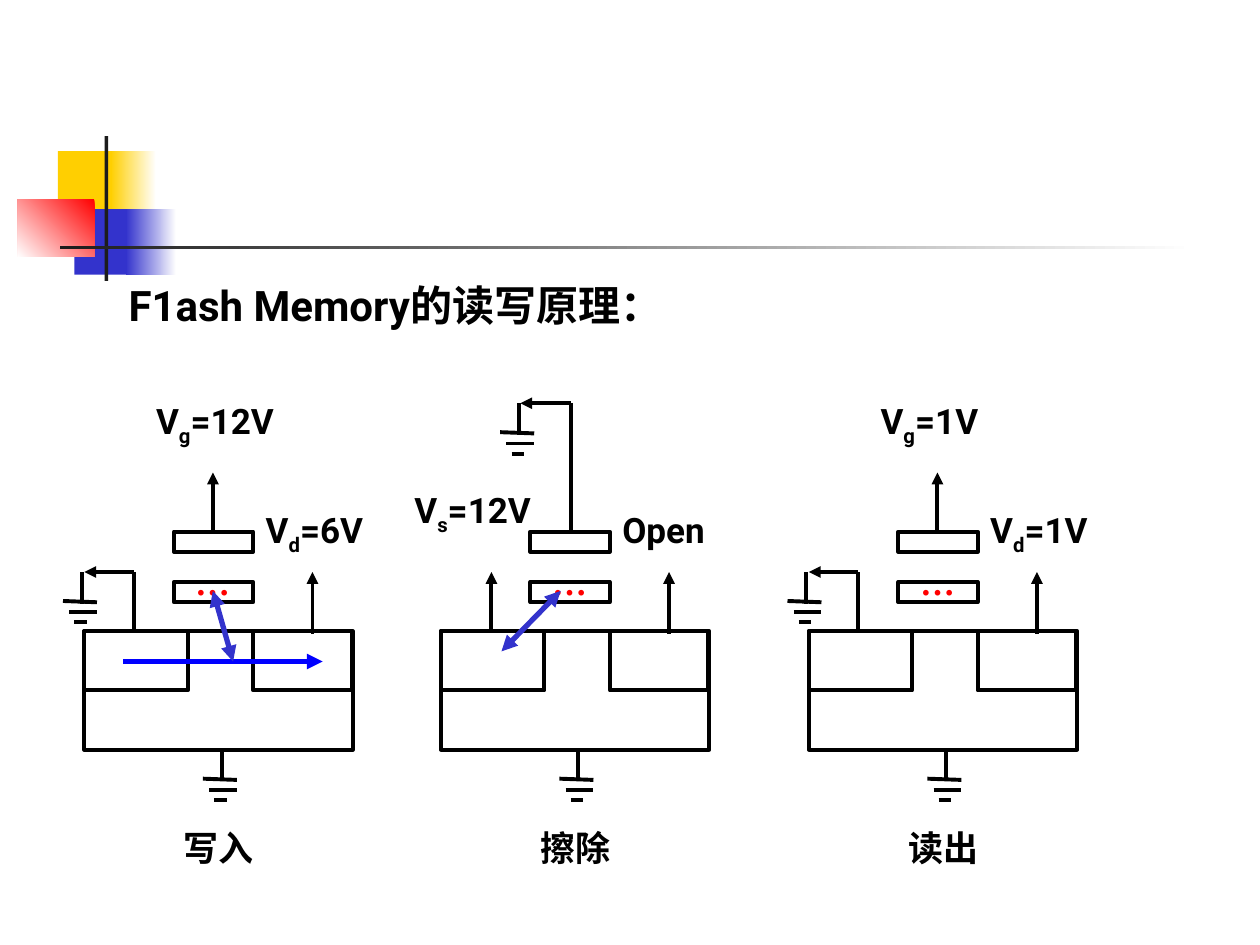
from lxml import etree
from pptx import Presentation
from pptx.dml.color import RGBColor
from pptx.enum.shapes import MSO_CONNECTOR, MSO_SHAPE
from pptx.enum.text import MSO_ANCHOR, PP_ALIGN
from pptx.oxml.ns import qn
from pptx.util import Inches, Pt

RECTANGLE = MSO_SHAPE.RECTANGLE
STRAIGHT = MSO_CONNECTOR.STRAIGHT
MIDDLE = MSO_ANCHOR.MIDDLE
CENTER, JUSTIFY = PP_ALIGN.CENTER, PP_ALIGN.JUSTIFY

LATIN, CJK = "Roboto", "Noto Sans CJK SC"
BLACK, WHITE, RED, BLUE, INDIGO = "000000", "FFFFFF", "FF0000", "0000FF", "3333CC"
YELLOW, CHARCOAL = "FFCF01", "1C1C1C"

HEADING = "F1ash Memory的读写原理："
DECORATIONS = [
    ((0.46, 1.2, 0.48, 0.52), [YELLOW], 0),
    ((0.88, 1.2, 0.36, 0.52), [WHITE, YELLOW], 180),
    ((0.59, 1.66, 0.46, 0.52), [INDIGO], 0),
    ((1, 1.66, 0.4, 0.52), [WHITE, INDIGO], 180),
    ((0.14, 1.58, 0.61, 0.46), [RED, WHITE], 225),
    ((0.83, 1.08, 0.03, 1.15), [CHARCOAL], 0),
    ((0.48, 1.95, 9, 0.03), [WHITE, CHARCOAL], 180),
]

# name, left edge, grounded terminal, labels (offset, top, width, parts), charge arrows
DEVICES = [
    {"name": "写入", "left": 0.67, "grounded": "source",
     "labels": [(0.47, 3.12, 1.42, ("V", "g", "=12V")), (1.34, 3.99, 1.18, ("V", "d", "=6V"))],
     "flows": [((0.31, 5.25), (1.89, 5.25), BLUE, "tail"),
               ((1.18, 5.25), (1.02, 4.69), INDIGO, "both")]},
    {"name": "擦除", "left": 3.5, "grounded": "gate",
     "labels": [(-0.31, 3.83, 1.42, ("V", "s", "=12V")), (1.34, 3.99, 1.18, ("Open",))],
     "flows": [((0.95, 4.69), (0.48, 5.17), INDIGO, "both")]},
    {"name": "读出", "left": 6.42, "grounded": "source",
     "labels": [(0.47, 3.12, 1.42, ("V", "g", "=1V")), (1.34, 3.99, 1.18, ("V", "d", "=1V"))],
     "flows": []},
]
OUTLINES = [(0.71, 4.22, 0.63, 0.16), (0, 5.01, 2.13, 0.94),
            (0, 5.01, 0.82, 0.47), (1.34, 5.01, 0.78, 0.47)]
FLOATING_GATE = (0.71, 4.62, 0.63, 0.16)
GROUND = [((0, 0), (0, 0.25)), ((-0.15, 0.23), (0.12, 0.24)),
          ((-0.1, 0.32), (0.12, 0.32)), ((-0.06, 0.4), (0.04, 0.4))]
ARROW_TAGS = {"": (), "head": ("headEnd",), "tail": ("tailEnd",), "both": ("headEnd", "tailEnd")}


def color(value):
    return RGBColor.from_string(value)


def set_font(paragraph, size, name=LATIN, value=BLACK):
    font = paragraph.font
    font.size, font.name, font.bold = Pt(size), name, True
    font.color.rgb = color(value)


def add_rectangle(shapes, box):
    shape = shapes.add_shape(RECTANGLE, *map(Inches, box))
    shape.shadow.inherit = False
    return shape


def add_decoration(shapes, box, colors, angle):
    shape = add_rectangle(shapes, box)
    shape.line.fill.background()
    if len(colors) == 1:
        shape.fill.solid()
        shape.fill.fore_color.rgb = color(colors[0])
        return
    shape.fill.gradient()
    shape.fill.gradient_angle = angle
    for position, (stop, value) in enumerate(zip(shape.fill.gradient_stops, colors)):
        stop.position = position
        stop.color.rgb = color(value)


def add_outline(shapes, left, box):
    shape = add_rectangle(shapes, (left + box[0], *box[1:]))
    shape.fill.background()
    shape.line.color.rgb = color(BLACK)
    shape.line.width = Pt(2.25)
    return shape


def add_line(shapes, left, start, end, value=BLACK, arrows="", width=2.25):
    points = (left + start[0], start[1], left + end[0], end[1])
    connector = shapes.add_connector(STRAIGHT, *map(Inches, points))
    connector.line.color.rgb = color(value)
    connector.line.width = Pt(width)
    for tag in ARROW_TAGS[arrows]:
        etree.SubElement(connector.line._get_or_add_ln(), qn(f"a:{tag}"), type="triangle")
    etree.SubElement(connector._element.spPr, qn("a:effectLst"))


def add_ground(shapes, left, top):
    group = shapes.add_group_shape()
    for (x1, y1), (x2, y2) in GROUND:
        add_line(group.shapes, left, (x1, top + y1), (x2, top + y2))


def add_label(shapes, left, top, width, parts):
    box = shapes.add_textbox(*map(Inches, (left, top, width, 0.48)))
    box.text_frame.word_wrap = True
    paragraph = box.text_frame.paragraphs[0]
    set_font(paragraph, 20)
    for index, part in enumerate(parts):
        run = paragraph.add_run()
        run.text = part
        if index == 1:
            run._r.get_or_add_rPr().set("baseline", "-25000")


def add_heading(slide):
    slide.shapes.title._element.getparent().remove(slide.shapes.title._element)
    body = slide.placeholders[1]
    body.left, body.top, body.width, body.height = map(Inches, (0.75, 2.17, 8.5, 0.6))
    paragraph = body.text_frame.paragraphs[0]
    paragraph.text = HEADING
    paragraph.alignment = JUSTIFY
    paragraph.space_before = Pt(0)
    properties = paragraph._p.get_or_add_pPr()
    properties.set("marL", str(Inches(0.17)))
    properties.set("indent", "0")
    etree.SubElement(properties, qn("a:buNone"))
    set_font(paragraph, 24)


def add_device(shapes, device):
    left = device["left"]
    for box in OUTLINES:
        add_outline(shapes, left, box)
    frame = add_outline(shapes, left, FLOATING_GATE).text_frame
    frame.word_wrap = False
    frame.vertical_anchor = MIDDLE
    paragraph = frame.paragraphs[0]
    paragraph.text = "…"
    paragraph.alignment = CENTER
    set_font(paragraph, 20, CJK, RED)

    add_line(shapes, left, (1.81, 4.54), (1.81, 5.03), arrows="head")
    add_ground(shapes, left + 1.09, 5.95)
    if device["grounded"] == "source":
        add_line(shapes, left, (1.02, 4.22), (1.02, 3.75), arrows="tail")
        add_line(shapes, left, (0.39, 4.54), (0.39, 5.01))
        add_line(shapes, left, (0, 4.54), (0.39, 4.54), arrows="head")
        add_ground(shapes, left - 0.02, 4.54)
    else:
        add_line(shapes, left, (1.03, 4.22), (1.03, 3.2))
        add_line(shapes, left, (0.4, 4.54), (0.4, 5.01), arrows="head")
        add_line(shapes, left, (0.63, 3.2), (1.03, 3.2), arrows="head")
        add_ground(shapes, left + 0.62, 3.2)

    for start, end, value, arrows in device["flows"]:
        add_line(shapes, left, start, end, value, arrows, 3)
    for offset, top, width, parts in device["labels"]:
        add_label(shapes, left + offset, top, width, parts)
    add_label(shapes, left + 0.69, 6.51, 1.18, (device["name"],))


def main():
    """Build the slide on flash memory write, erase and read."""
    presentation = Presentation()
    presentation.slide_width, presentation.slide_height = Inches(10), Inches(7.5)
    slide = presentation.slides.add_slide(presentation.slide_layouts[1])
    for decoration in DECORATIONS:
        add_decoration(slide.shapes, *decoration)
    add_heading(slide)
    for device in DEVICES:
        add_device(slide.shapes, device)
    presentation.save("out.pptx")


if __name__ == "__main__":
    main()
